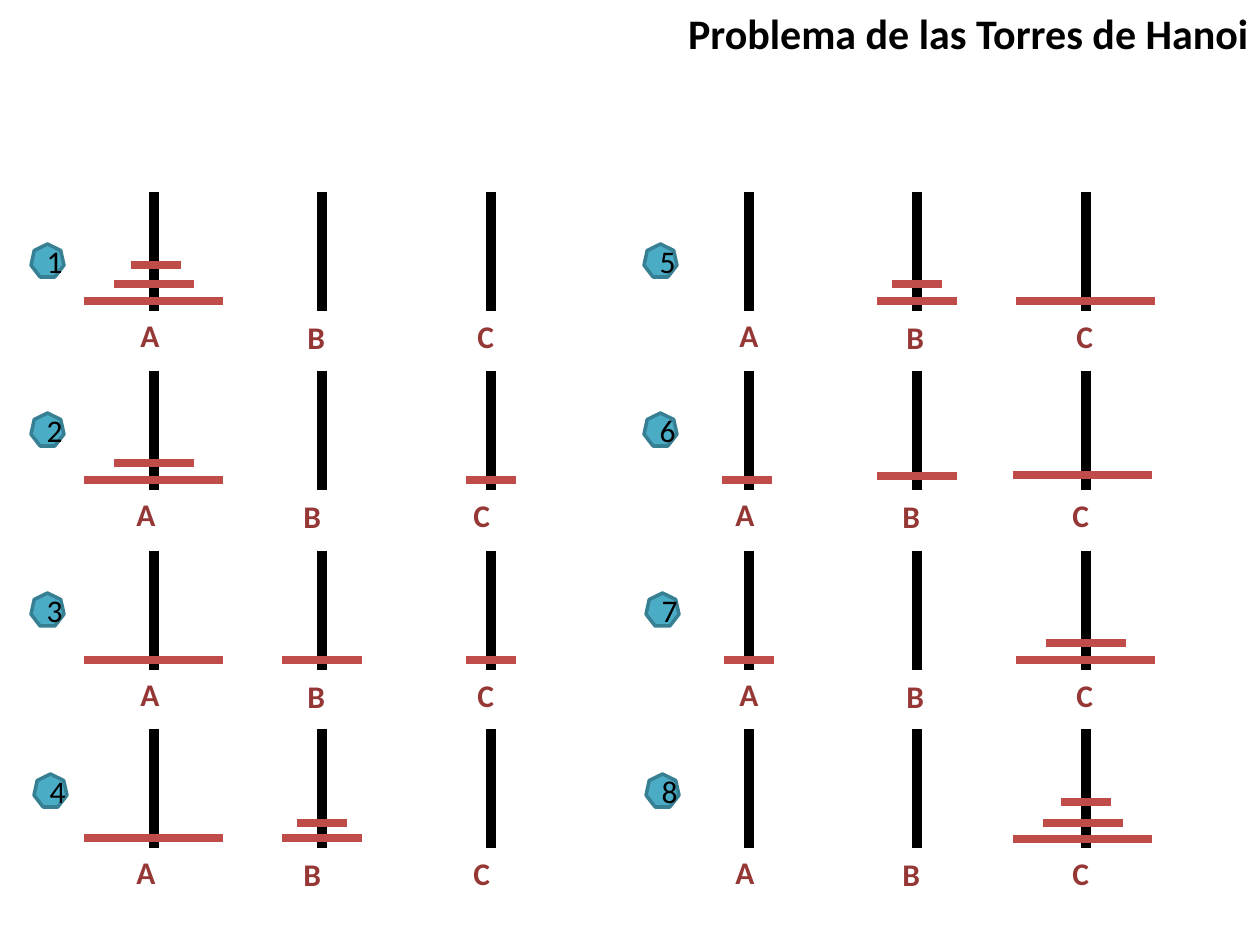
from dataclasses import dataclass

from lxml.etree import SubElement
from pptx import Presentation
from pptx.dml.color import RGBColor as RGB
from pptx.enum.shapes import MSO_CONNECTOR as CONN, MSO_SHAPE as SHAPE
from pptx.enum.text import MSO_ANCHOR as ANCHOR, MSO_AUTO_SIZE as FIT, PP_ALIGN as ALIGN
from pptx.oxml.ns import qn
from pptx.util import Pt

PX = 914400 / 126


@dataclass(frozen=True)
class Theme:
    font: str = "Calibri"
    ink: str = "000000"
    disk: str = "BF4C48"
    label: str = "953735"
    badge: str = "4BACC6"
    badge_edge: str = "377F92"
    title_pt: int = 24
    text_pt: int = 18
    peg_pt: float = 6
    disk_pt: float = 4.5
    edge_pt: float = 2


THEME = Theme()
PEGS = {"A": 154, "B": 322, "C": 491}
LABELS = {"A": (128, 118, 54), "B": (295, 120, 53), "C": (465, 119, 52)}
PEG_HEIGHT = 119
LEVELS = (109, 92, 73)
DISKS = {"large": 139, "medium": 80, "small": 50}
BADGE = 33
COLUMNS = (0, 595)
ROWS = (192, 371, 551, 729)
LARGE, MEDIUM, SMALL = (("large", 0, 0), ("medium", 0, 0), ("small", 0, 0))

# columns: badge offset, label shift, disks on each peg from the bottom up
STEPS = (
    ((31, 52), 0, {"A": [LARGE, MEDIUM, ("small", 2, 0)]}),
    ((31, 42), -4, {"A": [LARGE, MEDIUM], "C": [SMALL]}),
    ((31, 42), 0, {"A": [LARGE], "B": [MEDIUM], "C": [SMALL]}),
    ((34, 45), -4, {"A": [LARGE], "B": [MEDIUM, ("small", 0, 2)]}),
    ((49, 52), 4, {"B": [MEDIUM, SMALL], "C": [LARGE]}),
    ((49, 42), 0, {"A": [("small", -2, 0)], "B": [("medium", 0, -4)],
                   "C": [("large", -3, -5)]}),
    ((51, 42), 4, {"A": [SMALL], "C": [LARGE, MEDIUM]}),
    ((51, 45), 0, {"C": [("large", -3, 1), ("medium", -3, 2), SMALL]}),
)


def px(*lengths):
    return [round(n * PX) for n in lengths]


def write(tf, text, size=THEME.text_pt, color=THEME.ink, bold=False, align=ALIGN.LEFT):
    tf.word_wrap = True
    p = tf.paragraphs[0]
    p.alignment = align
    r = p.add_run()
    r.text = text
    r.font.name = THEME.font
    r.font.size = Pt(size)
    r.font.bold = bold
    r.font.color.rgb = RGB.from_string(color)


def add_line(shapes, x1, y1, x2, y2, color, width):
    line = shapes.add_connector(CONN.STRAIGHT, *px(x1, y1, x2, y2))
    line.line.color.rgb = RGB.from_string(color)
    line.line.width = Pt(width)
    SubElement(line._element.spPr, qn("a:effectLst"))


def add_title(s, left, top, width, height):
    tf = s.shapes.add_textbox(*px(left, top, width, height)).text_frame
    write(tf, "Problema de las Torres de Hanoi", size=THEME.title_pt, bold=True,
          align=ALIGN.RIGHT)


def add_badge(s, left, top, number):
    sp = s.shapes.add_shape(SHAPE.HEPTAGON, *px(left, top, BADGE, BADGE))
    sp.shadow.inherit = False
    sp.fill.solid()
    sp.fill.fore_color.rgb = RGB.from_string(THEME.badge)
    sp.line.color.rgb = RGB.from_string(THEME.badge_edge)
    sp.line.width = Pt(THEME.edge_pt)
    sp.text_frame.vertical_anchor = ANCHOR.MIDDLE
    write(sp.text_frame, str(number), align=ALIGN.CENTER)


def add_step(s, left, top, number, badge, label_shift, stacks):
    pegs = s.shapes.add_group_shape()
    for x in PEGS.values():
        add_line(pegs.shapes, left + x, top, left + x, top + PEG_HEIGHT,
                 THEME.ink, THEME.peg_pt)
    for peg, stack in stacks.items():
        for level, (disk, dx, dy) in zip(LEVELS, stack):
            x, y = left + PEGS[peg] + dx, top + level + dy
            half = DISKS[disk] / 2
            add_line(s.shapes, x - half, y, x + half, y, THEME.disk, THEME.disk_pt)
    add_badge(s, left + badge[0], top + badge[1], number)
    for name, (x, y, width) in LABELS.items():
        box = px(left + x + label_shift, top + y, width, 50)
        tf = s.shapes.add_textbox(*box).text_frame
        tf.auto_size = FIT.SHAPE_TO_FIT_TEXT
        write(tf, name, color=THEME.label, bold=True)


def main():
    prs = Presentation()
    prs.slide_width, prs.slide_height = px(1260, 945)
    s = prs.slides.add_slide(prs.slide_layouts[6])
    add_title(s, 97, 1, 1164, 77)
    for i, step in enumerate(STEPS):
        col, row = divmod(i, len(ROWS))
        add_step(s, COLUMNS[col], ROWS[row], i + 1, *step)
    prs.save("out.pptx")


if __name__ == "__main__":
    main()
